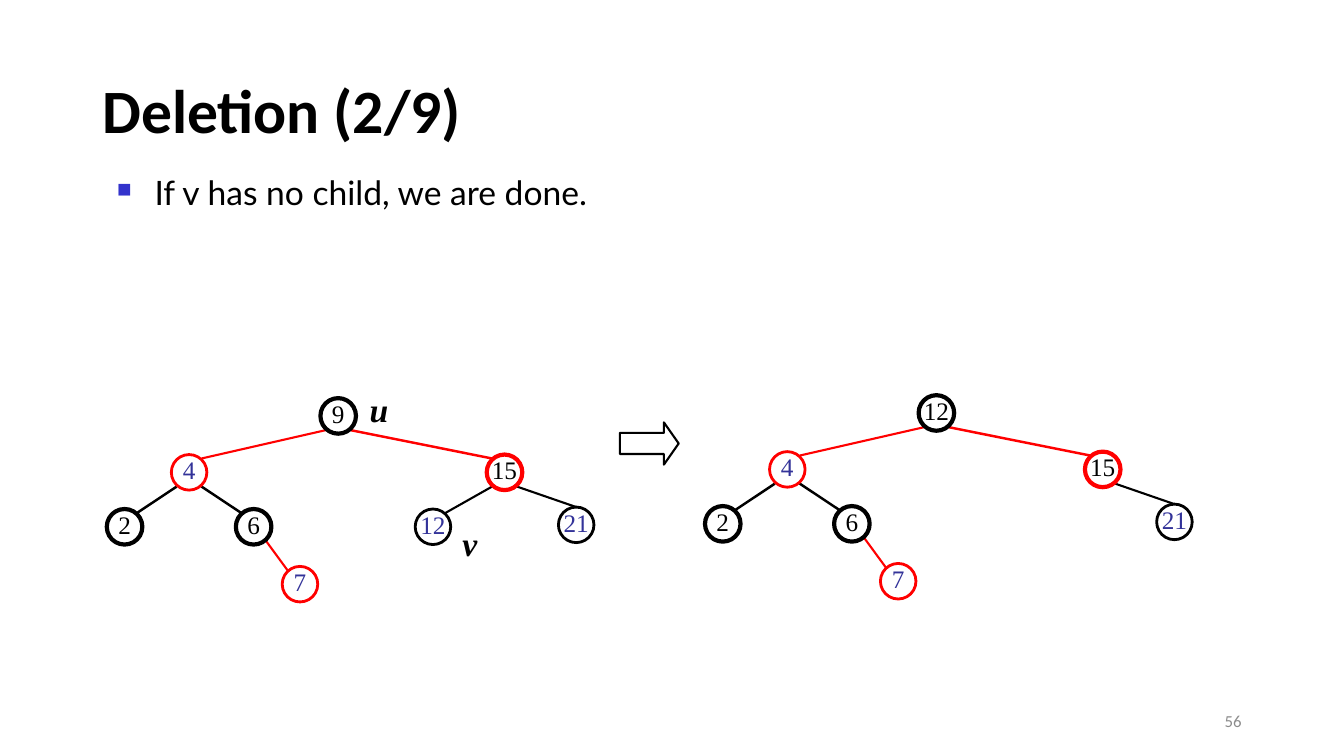
from lxml.etree import SubElement
from pptx import Presentation
from pptx.dml.color import RGBColor
from pptx.enum.shapes import MSO_CONNECTOR as Connector, MSO_SHAPE as Shape
from pptx.enum.text import MSO_ANCHOR as Anchor, PP_ALIGN as Align
from pptx.oxml.ns import qn
from pptx.util import Pt

COLORS = {"black": "000000", "white": "FFFFFF", "red": "FF0000",
          "label": "333399", "bullet": "3333CC", "number": "8C8C8C"}
SERIF = "Times New Roman"
SIZE = 25.4  # node diameter

# Node places relative to the tree's top left corner: x, y
PLACES = {"root": (152.6, 0), "left": (46.1, 40.3), "right": (271.4, 40.3),
          "2": (0, 79.2), "6": (92.2, 79.2), "7": (125.3, 120.2),
          "12": (220.3, 79.2), "21": (322.6, 77.8)}
# Node looks: label, ring colour, ring width, label colour
LOOKS = {"left": ("4", "red", 2, "label"), "right": ("15", "red", 3, "black"),
         "2": ("2", "black", 3, "black"), "6": ("6", "black", 3, "black"),
         "7": ("7", "red", 2, "label"), "12": ("12", "black", 2, "label"),
         "21": ("21", "black", 2, "label")}
# Edges: parent, child, colour, width, where the line meets the child (share of its width)
EDGES = [("root", "left", "red", 1.5, 0.85), ("root", "right", "red", 1.75, 0.15),
         ("left", "2", "black", 1.75, 0.85), ("left", "6", "black", 1.75, 0.15),
         ("6", "7", "red", 1.5, 0.15), ("right", "12", "black", 1.5, 0.85),
         ("right", "21", "black", 1.5, 0.5)]


def color(name):
    return RGBColor.from_string(COLORS[name])


def add_run(para, text, font, size, tint="black", bold=False, italic=False):
    span = para.add_run()
    span.text = text
    span.font.name, span.font.size = font, Pt(size)
    span.font.bold, span.font.italic = bold, italic
    span.font.color.rgb = color(tint)


def add_text_box(page, box, anchor=Anchor.TOP, align=Align.LEFT):
    frame = page.shapes.add_textbox(*map(Pt, box)).text_frame
    frame.word_wrap = True
    frame.vertical_anchor = anchor
    para = frame.paragraphs[0]
    para.alignment = align
    return para


def add_title(page, box, text):
    para = add_text_box(page, box, Anchor.MIDDLE)
    para.line_spacing = 0.9
    add_run(para, text, "Calibri", 44, bold=True)


def add_bullet(page, box, text):
    para = add_text_box(page, box)
    props = para._p.get_or_add_pPr()
    props.set("marL", str(Pt(27)))
    props.set("indent", str(-Pt(27)))
    tint = SubElement(props, qn("a:buClr"))
    SubElement(tint, qn("a:srgbClr"), val=COLORS["bullet"])
    SubElement(props, qn("a:buSzPct"), val="60000")
    SubElement(props, qn("a:buChar"), char="■")
    add_run(para, text, "Lato", 24)


def add_node(page, left, top, label, ring, width, tint):
    node = page.shapes.add_shape(Shape.OVAL, Pt(left), Pt(top), Pt(SIZE), Pt(SIZE))
    node.shadow.inherit = False
    node.fill.solid()
    node.fill.fore_color.rgb = color("white")
    node.line.color.rgb = color(ring)
    node.line.width = Pt(width)
    frame = node.text_frame
    frame.word_wrap = False
    frame.vertical_anchor = Anchor.MIDDLE
    frame.margin_left = frame.margin_right = frame.margin_top = 0
    frame.margin_bottom = Pt(3.6)
    para = frame.paragraphs[0]
    para.alignment = Align.CENTER
    add_run(para, label, SERIF, 18, tint)


def add_edge(page, start, end, tint, width):
    edge = page.shapes.add_connector(Connector.STRAIGHT, *map(Pt, start + end))
    edge.line.color.rgb = color(tint)
    edge.line.width = Pt(width)
    SubElement(edge._element.spPr, qn("a:effectLst"))


def add_tree(page, left, top, root, removed=()):
    # Edges leave the lower corner of the parent that faces the child
    for parent, child, tint, width, meet in EDGES:
        if child in removed:
            continue
        (px, py), (cx, cy) = PLACES[parent], PLACES[child]
        leave = 0.85 if cx > px else 0.15
        drop = 0 if meet == 0.5 else 0.11
        add_edge(page, (left + px + leave * SIZE, top + py + 0.9 * SIZE),
                 (left + cx + meet * SIZE, top + cy + drop * SIZE), tint, width)
    # Nodes
    looks = {"root": (root, "black", 3, "black"), **LOOKS}
    for name, look in looks.items():
        if name not in removed:
            x, y = PLACES[name]
            add_node(page, left + x, top + y, *look)


def add_mark(page, box, text):
    add_run(add_text_box(page, box, align=Align.CENTER), text, SERIF, 24,
            bold=True, italic=True)


def add_arrow(page, box):
    arrow = page.shapes.add_shape(Shape.RIGHT_ARROW, *map(Pt, box))
    arrow.shadow.inherit = False
    arrow.adjustments[0], arrow.adjustments[1] = 0.5, 0.35
    arrow.fill.background()
    arrow.line.color.rgb = color("black")
    arrow.line.width = Pt(1.5)


def add_page_number(page, box, text):
    para = add_text_box(page, box, Anchor.MIDDLE, Align.RIGHT)
    add_run(para, text, "Calibri", 12, "number")


def main():
    deck = Presentation()
    deck.slide_width, deck.slide_height = Pt(960), Pt(540)
    page = deck.slides.add_slide(deck.slide_layouts[6])
    add_title(page, (66, 28.8, 828, 104.4), "Deletion (2/9)")
    add_bullet(page, (76.3, 119.5, 766.8, 67), "If v has no child, we are done.")
    # Tree before and after the deletion
    add_tree(page, 76.3, 284.4, "9")
    add_tree(page, 503.6, 282.3, "12", removed=("12",))
    add_mark(page, (323.3, 370.1, 24.5, 36), "v")
    add_mark(page, (257, 274.3, 24.5, 36), "u")
    add_arrow(page, (442.8, 301.7, 42, 30.2))
    add_page_number(page, (678, 500.5, 216, 28.8), "56")
    deck.save("out.pptx")


if __name__ == "__main__":
    main()
